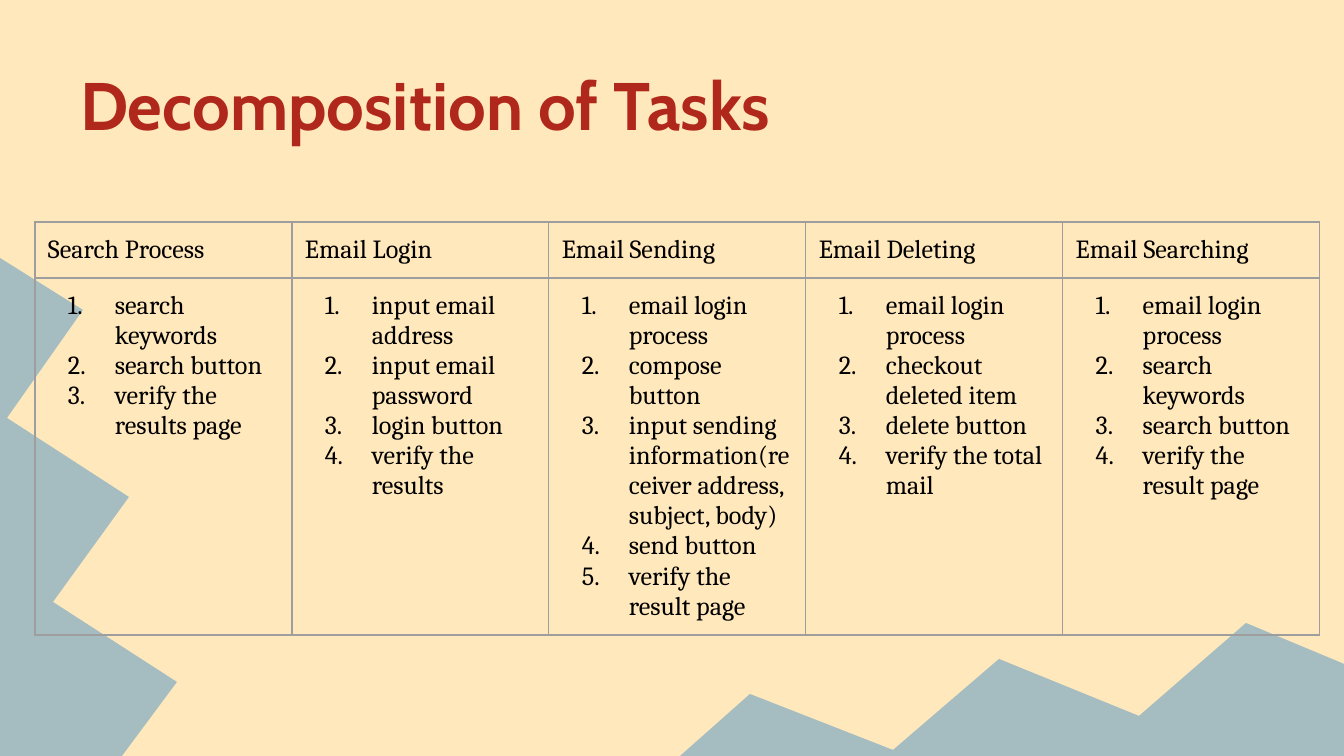
from lxml import etree
from pptx import Presentation, util as u
from pptx.dml.color import RGBColor
from pptx.enum import text
from pptx.oxml import ns

SCALE = 914400 / 134.4
COLORS = {"background": "FFE8BB", "mountain": "A5BDC0", "title": "B0271C",
          "text": "000000", "border": "9E9E9E"}


def px(length):
    return u.Emu(round(length * SCALE))


def add_run(paragraph, words, font, size, color, bold=False):
    run = paragraph.add_run()
    run.text = words
    run.font.name = font
    run.font.size = u.Pt(size)
    run.font.bold = bold
    run.font.color.rgb = RGBColor.from_string(COLORS[color])


presentation = Presentation()
presentation.slide_width = px(1344)
presentation.slide_height = px(756)
slide = presentation.slides.add_slide(presentation.slide_layouts[5])
slide.background.fill.solid()
slide.background.fill.fore_color.rgb = RGBColor.from_string(COLORS["background"])

mountains = [
    [(0, 258), (0, 756), (122, 756), (177, 682), (53, 602), (129, 497), (7, 418), (83, 310)],
    [(680, 756), (1344, 756), (1344, 664), (1246, 623), (1139, 716), (999, 659),
     (893, 750), (750, 694)],
]
for points in mountains:
    builder = slide.shapes.build_freeform(*points[0], scale=SCALE)
    builder.add_line_segments(points[1:], close=True)
    shape = builder.convert_to_shape()
    shape.shadow.inherit = False
    shape.fill.solid()
    shape.fill.fore_color.rgb = RGBColor.from_string(COLORS["mountain"])
    shape.line.fill.background()

title = slide.shapes.title
title.left, title.top, title.width, title.height = px(67), px(31), px(1210), px(126)
frame = title.text_frame
frame.auto_size = text.MSO_AUTO_SIZE.NONE
frame.vertical_anchor = text.MSO_ANCHOR.BOTTOM
frame.margin_left = frame.margin_right = frame.margin_top = frame.margin_bottom = px(13)
frame.paragraphs[0].alignment = text.PP_ALIGN.LEFT
add_run(frame.paragraphs[0], "Decomposition of Tasks", "Cabin", 36, "title", True)

tasks = {
    "Search Process": ["search keywords", "search button", "verify the results page"],
    "Email Login": ["input email address", "input email password", "login button",
                    "verify the results"],
    "Email Sending": ["email login process", "compose button",
                      "input sending information(receiver address, subject, body)",
                      "send button", "verify the result page"],
    "Email Deleting": ["email login process", "checkout deleted item", "delete button",
                       "verify the total mail"],
    "Email Searching": ["email login process", "search keywords", "search button",
                        "verify the result page"],
}
table = slide.shapes.add_table(2, len(tasks), px(35), px(222), px(1285), px(413)).table
table.first_row = table.horz_banding = False
table.rows[0].height, table.rows[1].height = px(56), px(357)

for column, (heading, steps) in enumerate(tasks.items()):
    table.columns[column].width = px(257)
    for row, lines in enumerate([[heading], steps]):
        cell = table.cell(row, column)
        cell.margin_left = cell.margin_right = cell.margin_top = cell.margin_bottom = px(13)
        for index, line in enumerate(lines):
            frame = cell.text_frame
            paragraph = frame.add_paragraph() if index else frame.paragraphs[0]
            add_run(paragraph, line, "Cambria", 14, "text")
            if row:
                properties = paragraph._p.get_or_add_pPr()
                properties.set("marL", str(px(67)))
                properties.set("indent", str(-px(47)))
                etree.SubElement(properties, ns.qn("a:buFont"), typeface="Cambria")
                etree.SubElement(properties, ns.qn("a:buAutoNum"), type="arabicPeriod")
        properties = cell._tc.get_or_add_tcPr()
        for side in ("lnL", "lnR", "lnT", "lnB"):
            border = etree.SubElement(properties, ns.qn(f"a:{side}"), w=str(u.Pt(0.75)))
            fill = etree.SubElement(border, ns.qn("a:solidFill"))
            etree.SubElement(fill, ns.qn("a:srgbClr"), val=COLORS["border"])
        cell.fill.background()

presentation.save("out.pptx")
